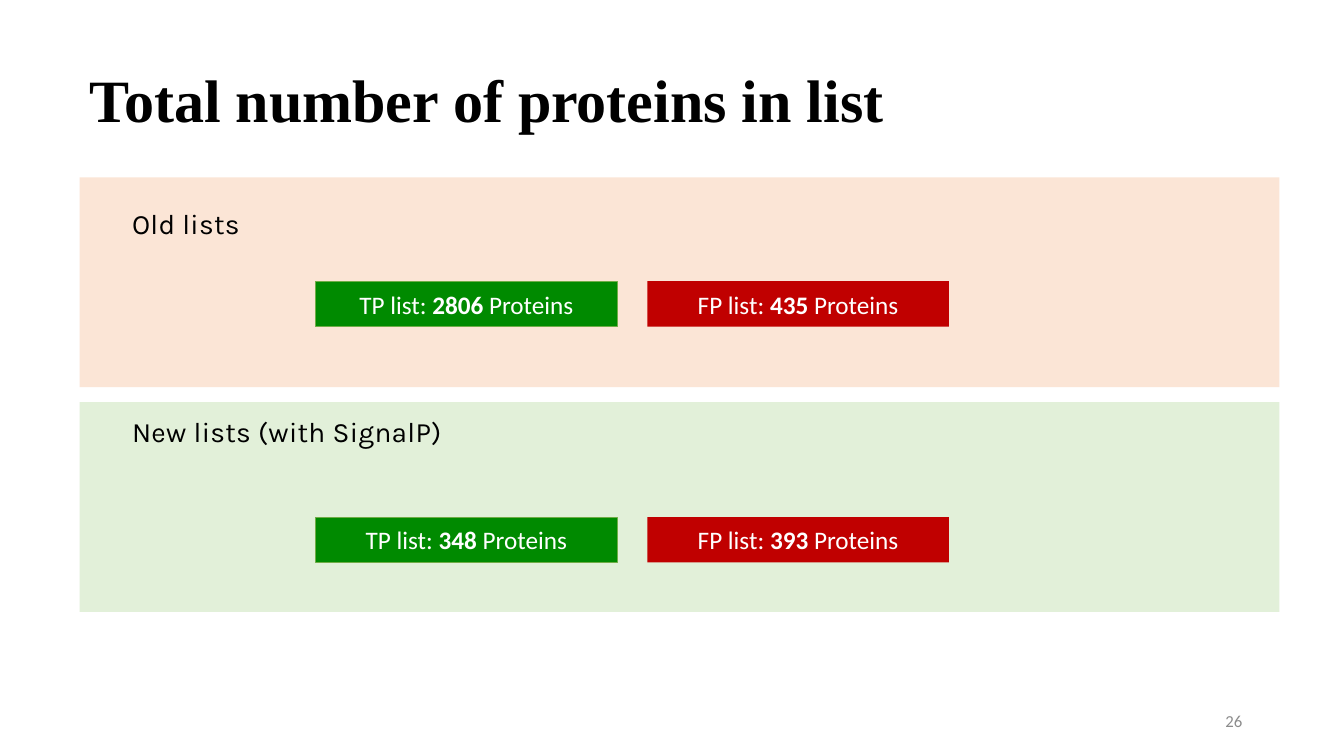
from pptx import Presentation
from pptx.dml.color import RGBColor
from pptx.enum import shapes, text
from pptx.util import Inches, Pt

BLACK = RGBColor(0, 0, 0)
WHITE = RGBColor(255, 255, 255)
GRAY = RGBColor(0x8C, 0x8C, 0x8C)
PEACH = RGBColor(0xFB, 0xE5, 0xD6)
MINT = RGBColor(0xE2, 0xF0, 0xD9)
GREEN = RGBColor(0, 0x8A, 0)
EDGE = RGBColor(0x70, 0xAD, 0x47)
RED = RGBColor(0xC0, 0, 0)


def write(para, words, size, color=BLACK, font="Calibri", bold=False,
          align=text.PP_ALIGN.LEFT, lines=1.0):
    para.alignment = align
    para.line_spacing = lines
    run = para.add_run()
    run.text = words
    run.font.name = font
    run.font.size = Pt(size)
    run.font.bold = bold
    run.font.color.rgb = color
    return run


def block(left, top, width, height, fill):
    box = slide.shapes.add_shape(
        shapes.MSO_SHAPE.RECTANGLE, Inches(left), Inches(top), Inches(width), Inches(height))
    box.shadow.inherit = False
    box.fill.solid()
    box.fill.fore_color.rgb = fill
    box.line.fill.background()
    return box


deck = Presentation()
deck.slide_width, deck.slide_height = Inches(13.33), Inches(7.5)
slide = deck.slides.add_slide(deck.slide_layouts[1])
title, body = slide.placeholders[0], slide.placeholders[1]
for holder, (left, top, width, height), anchor in (
        (title, (0.79, 0.68, 11.73, 0.73), text.MSO_ANCHOR.MIDDLE),
        (body, (1.21, 1.93, 10.91, 4.23), text.MSO_ANCHOR.TOP)):
    holder.left, holder.top = Inches(left), Inches(top)
    holder.width, holder.height = Inches(width), Inches(height)
    holder.text_frame.auto_size = text.MSO_AUTO_SIZE.NONE
    holder.text_frame.vertical_anchor = anchor

write(title.text_frame.paragraphs[0], "Total number of proteins in list", 42.9,
      font="Times New Roman", bold=True, lines=0.8)

# Colour bands sit behind the body text
for top, fill in ((3.99, MINT), (1.76, PEACH)):
    band = block(0.79, top, 11.9, 2.08, fill)
    body.element.addprevious(band.element)

frame = body.text_frame
heads = (("Old lists", frame.paragraphs[0], 0),
         ("New lists (with SignalP)", frame.add_paragraph(), 120))
for words, para, gap in heads:
    props = para._p.get_or_add_pPr()
    props.set("marL", "0")
    props.set("indent", "0")
    props.insert_element_before(props.makeelement(
        "{http://schemas.openxmlformats.org/drawingml/2006/main}buNone"), "a:tabLst", "a:defRPr")
    para.space_before = Pt(gap)
    run = write(para, words, 20, font="Karla", lines=1.2)
    run.font._element.set("spc", "20")

# Protein counts: one row per list version
for top, counts in ((2.79, ("2806", "435")), (5.13, ("348", "393"))):
    for left, kind, fill, count in zip((3.13, 6.42), ("TP", "FP"), (GREEN, RED), counts):
        box = block(left, top, 2.99, 0.45, fill)
        if kind == "TP":
            box.line.color.rgb = EDGE
            box.line.width = Pt(0.5)
        box.text_frame.vertical_anchor = text.MSO_ANCHOR.MIDDLE
        para = box.text_frame.paragraphs[0]
        for words, bold in ((f"{kind} list: ", False), (count, True), (" Proteins", False)):
            write(para, words, 18, WHITE, bold=bold, align=text.PP_ALIGN.CENTER)

number = slide.shapes.add_textbox(Inches(9.42), Inches(6.95), Inches(3), Inches(0.4))
number.text_frame.word_wrap = True
number.text_frame.vertical_anchor = text.MSO_ANCHOR.MIDDLE
write(number.text_frame.paragraphs[0], "26", 12, GRAY, align=text.PP_ALIGN.RIGHT)

deck.save("out.pptx")
